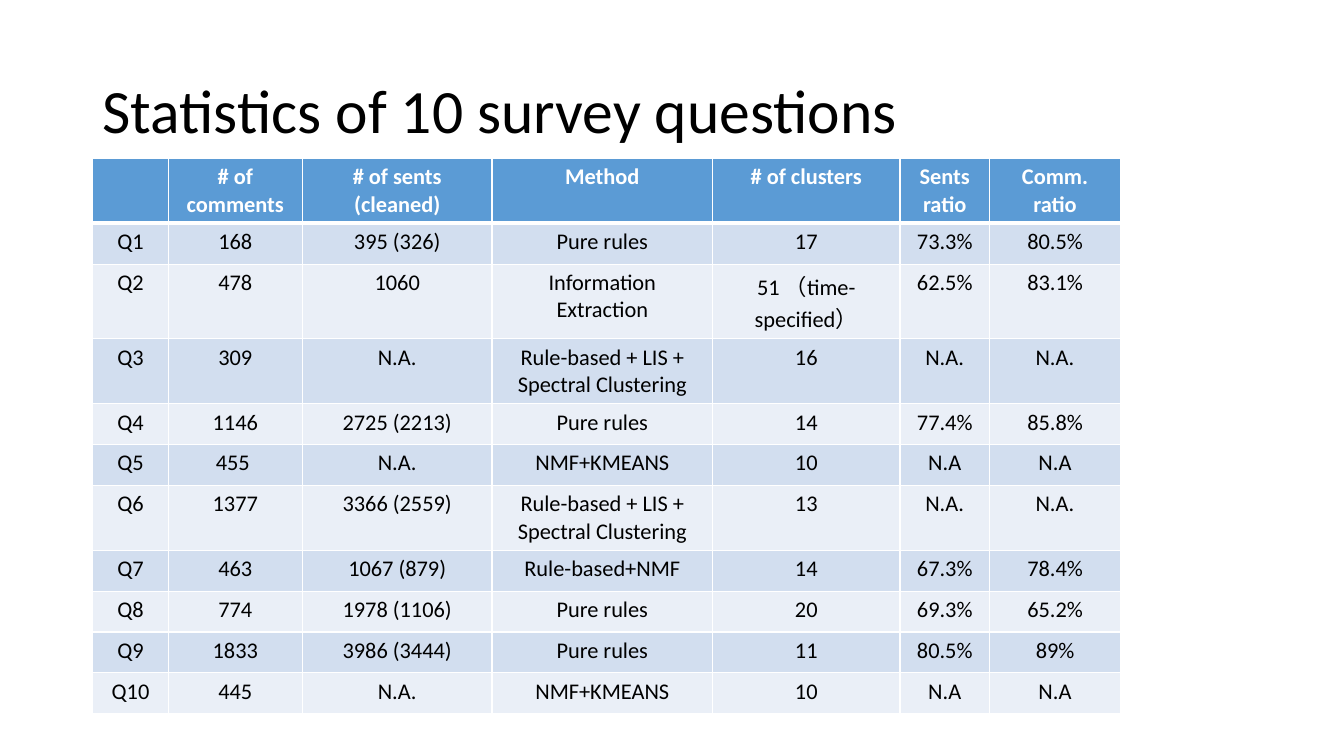
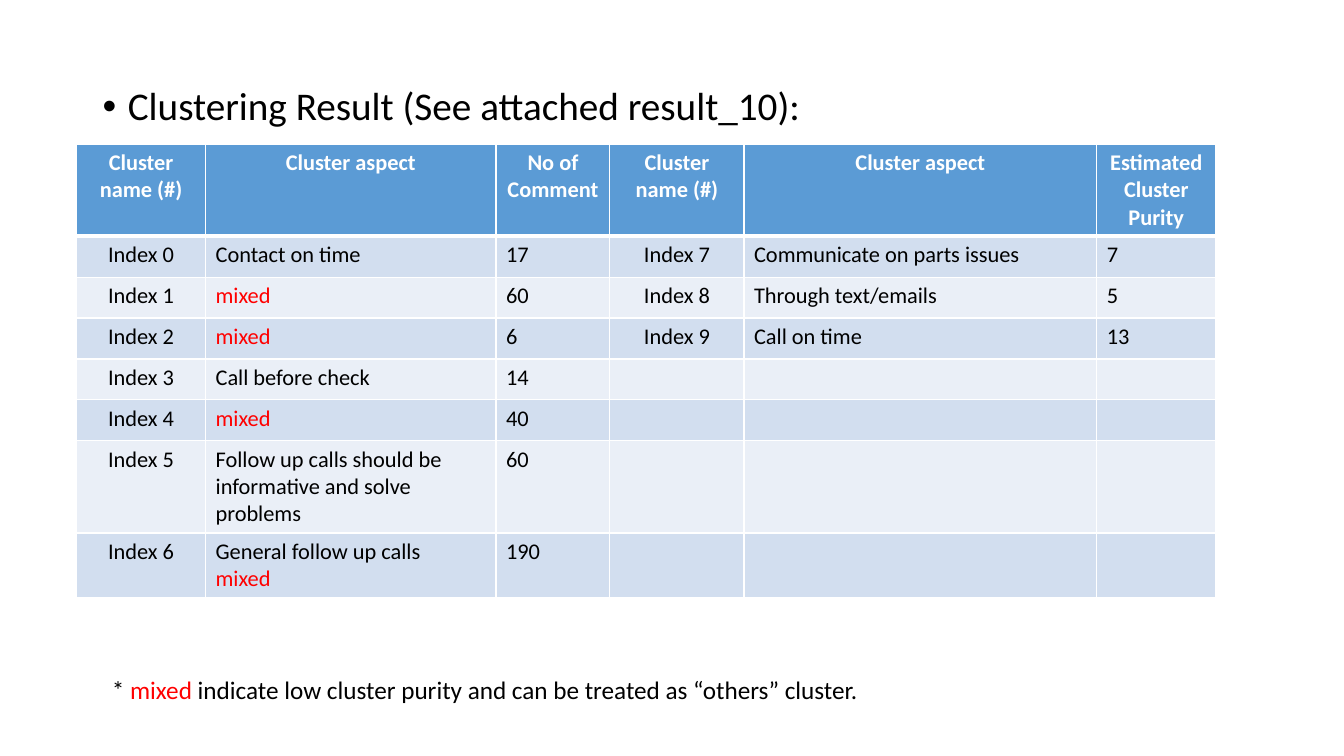
from dataclasses import dataclass

from lxml import etree
from pptx import Presentation
from pptx import util as u
from pptx.dml.color import RGBColor
from pptx.enum import text
from pptx.oxml import ns

LEFT, CENTER = text.PP_ALIGN.LEFT, text.PP_ALIGN.CENTER


# Shared look
@dataclass(frozen=True)
class Theme:
    font: str = "Calibri"
    ink: str = "000000"
    paper: str = "FFFFFF"
    header: str = "5B9BD5"
    bands: tuple[str, str] = ("D2DEEF", "EAEFF7")
    accent: str = "FF0000"
    accent_word: str = "mixed"
    title_size: int = 44
    body_size: int = 28
    note_size: int = 18
    table_size: int = 16
    thin: int = 1
    thick: int = 3
    row_height: float = 1.03


THEME = Theme()


@dataclass(frozen=True)
class Area:
    """Position and size in centimetres."""
    left: float
    top: float
    width: float
    height: float

    def lengths(self) -> list[u.Cm]:
        return [u.Cm(v) for v in (self.left, self.top, self.width, self.height)]


@dataclass(frozen=True)
class Column:
    heading: str
    width: float
    align: text.PP_ALIGN = CENTER


TITLE_AREA = Area(2.33, 1.01, 29.21, 3.68)
BODY_AREA = Area(2.33, 2.06, 29.21, 12.09)
NOTE_AREA = Area(2.57, 16.87, 19.58, 1.02)

# Table contents
SURVEY_COLUMNS = [
    Column("", 1.9),
    Column("# of comments", 3.38),
    Column("# of sents (cleaned)", 4.78),
    Column("Method", 5.56),
    Column("# of clusters", 4.72),
    Column("Sents ratio", 2.26),
    Column("Comm. ratio", 3.3),
]
SPECTRAL = "Rule-based + LIS + Spectral Clustering"
SURVEY_ROWS = [
    ("Q1", "168", "395 (326)", "Pure rules", "17", "73.3%", "80.5%"),
    ("Q2", "478", "1060", "Information Extraction", "51 （time-specified）",
     "62.5%", "83.1%"),
    ("Q3", "309", "N.A.", SPECTRAL, "16", "N.A.", "N.A."),
    ("Q4", "1146", "2725 (2213)", "Pure rules", "14", "77.4%", "85.8%"),
    ("Q5", "455 ", "N.A.", "NMF+KMEANS", "10", "N.A", "N.A"),
    ("Q6", "1377", "3366 (2559)", SPECTRAL, "13", "N.A.", "N.A."),
    ("Q7", "463", "1067 (879)", "Rule-based+NMF", "14", "67.3%", "78.4%"),
    ("Q8", "774", "1978 (1106)", "Pure rules", "20", "69.3%", "65.2%"),
    ("Q9", "1833", "3986 (3444)", "Pure rules", "11", "80.5%", "89%"),
    ("Q10", "445", "N.A.", "NMF+KMEANS", "10", "N.A", "N.A"),
]

CLUSTER_COLUMNS = [
    Column("Cluster name (#)", 3.25),
    Column("Cluster aspect", 7.32, LEFT),
    Column("No of Comment", 2.87, LEFT),
    Column("Cluster name (#)", 3.38),
    Column("Cluster aspect", 8.89, LEFT),
    Column("Estimated Cluster Purity", 3.0, LEFT),
]
CLUSTER_ROWS = [
    ("Index 0", "Contact on time", "17", "Index 7", "Communicate on parts issues", "7"),
    ("Index 1", "mixed", "60", "Index 8", "Through text/emails", "5"),
    ("Index 2", "mixed", "6", "Index 9", "Call on time", "13"),
    ("Index 3", "Call before check", "14"),
    ("Index 4", "mixed", "40"),
    ("Index 5", "Follow up calls should be informative and solve problems", "60"),
    ("Index 6", "General follow up calls\nmixed", "190"),
]


# Text
def write_text(frame, content: str, *, size: int, colour: str = THEME.ink,
               bold: bool = False, align=LEFT, line_spacing: float | None = None,
               space_before: int | None = None) -> None:
    """Fill a text frame, one paragraph a line, with the accent word coloured."""
    for index, line in enumerate(content.split("\n")):
        para = frame.paragraphs[0] if index == 0 else frame.add_paragraph()
        para.alignment = align
        if line_spacing is not None:
            para.line_spacing = line_spacing
        if space_before is not None:
            para.space_before = u.Pt(space_before)
        for part in line.partition(THEME.accent_word):
            if not part:
                continue
            span = para.add_run()
            span.text = part
            span.font.name = THEME.font
            span.font.size = u.Pt(size)
            span.font.bold = bold
            span.font.color.rgb = RGBColor.from_string(
                THEME.accent if part == THEME.accent_word else colour)


def place(box, area: Area, anchor: text.MSO_ANCHOR) -> None:
    box.left, box.top, box.width, box.height = area.lengths()
    frame = box.text_frame
    frame.auto_size = text.MSO_AUTO_SIZE.NONE
    frame.vertical_anchor = anchor


def set_bullet(para, indent: float) -> None:
    properties = para._p.get_or_add_pPr()
    properties.set("marL", str(u.Cm(indent)))
    properties.set("indent", str(-u.Cm(indent)))
    etree.SubElement(properties, ns.qn("a:buFont")).set("typeface", "Arial")
    etree.SubElement(properties, ns.qn("a:buChar")).set("char", "•")


# Tables
def set_borders(cell, *, top: int, bottom: int) -> None:
    properties = cell._tc.get_or_add_tcPr()
    widths = {"lnL": THEME.thin, "lnR": THEME.thin, "lnT": top, "lnB": bottom}
    for position, (side, width) in enumerate(widths.items()):
        line = etree.Element(ns.qn(f"a:{side}"), w=str(u.Pt(width)))
        fill = etree.SubElement(line, ns.qn("a:solidFill"))
        etree.SubElement(fill, ns.qn("a:srgbClr")).set("val", THEME.paper)
        properties.insert(position, line)


def add_grid(page, left: float, top: float, columns: list[Column],
             rows: list[tuple[str, ...]]) -> None:
    """Draw a table with a coloured header and banded rows."""
    row_total = len(rows) + 1
    area = Area(left, top, sum(column.width for column in columns),
                THEME.row_height * row_total)
    table = page.shapes.add_table(row_total, len(columns), *area.lengths()).table
    for row in table.rows:
        row.height = u.Cm(THEME.row_height)
    lines = [tuple(column.heading for column in columns), *rows]
    for x, column in enumerate(columns):
        table.columns[x].width = u.Cm(column.width)
        for y, values in enumerate(lines):
            is_header = y == 0
            cell = table.cell(y, x)
            cell.fill.solid()
            cell.fill.fore_color.rgb = RGBColor.from_string(
                THEME.header if is_header else THEME.bands[(y - 1) % 2])
            set_borders(cell, top=THEME.thick if y == 1 else THEME.thin,
                        bottom=THEME.thick if is_header else THEME.thin)
            write_text(cell.text_frame, values[x] if x < len(values) else "",
                       size=THEME.table_size, bold=is_header,
                       colour=THEME.paper if is_header else THEME.ink,
                       align=CENTER if is_header else column.align)


# Slides
def add_survey_page(deck) -> None:
    page = deck.slides.add_slide(deck.slide_layouts.get_by_name("Title Only"))
    title = page.shapes.title
    place(title, TITLE_AREA, text.MSO_ANCHOR.MIDDLE)
    write_text(title.text_frame, "Statistics of 10 survey questions",
               size=THEME.title_size, line_spacing=0.9)
    add_grid(page, 2.34, 3.99, SURVEY_COLUMNS, SURVEY_ROWS)


def add_cluster_page(deck) -> None:
    page = deck.slides.add_slide(deck.slide_layouts.get_by_name("Title and Content"))
    title = page.shapes.title
    title.element.getparent().remove(title.element)
    body = page.placeholders[1]
    place(body, BODY_AREA, text.MSO_ANCHOR.TOP)
    write_text(body.text_frame, "Clustering Result (See attached result_10):",
               size=THEME.body_size, line_spacing=0.9, space_before=10)
    set_bullet(body.text_frame.paragraphs[0], 0.64)
    add_grid(page, 1.93, 3.63, CLUSTER_COLUMNS, CLUSTER_ROWS)

    note = page.shapes.add_textbox(*NOTE_AREA.lengths())
    note.text_frame.word_wrap = False
    note.text_frame.auto_size = text.MSO_AUTO_SIZE.SHAPE_TO_FIT_TEXT
    write_text(note.text_frame, "* mixed indicate low cluster purity and can be "
               "treated as “others” cluster.", size=THEME.note_size)


def main() -> None:
    deck = Presentation()
    deck.slide_width, deck.slide_height = u.Cm(33.87), u.Cm(19.05)
    add_survey_page(deck)
    add_cluster_page(deck)
    deck.save("out.pptx")


if __name__ == "__main__":
    main()
